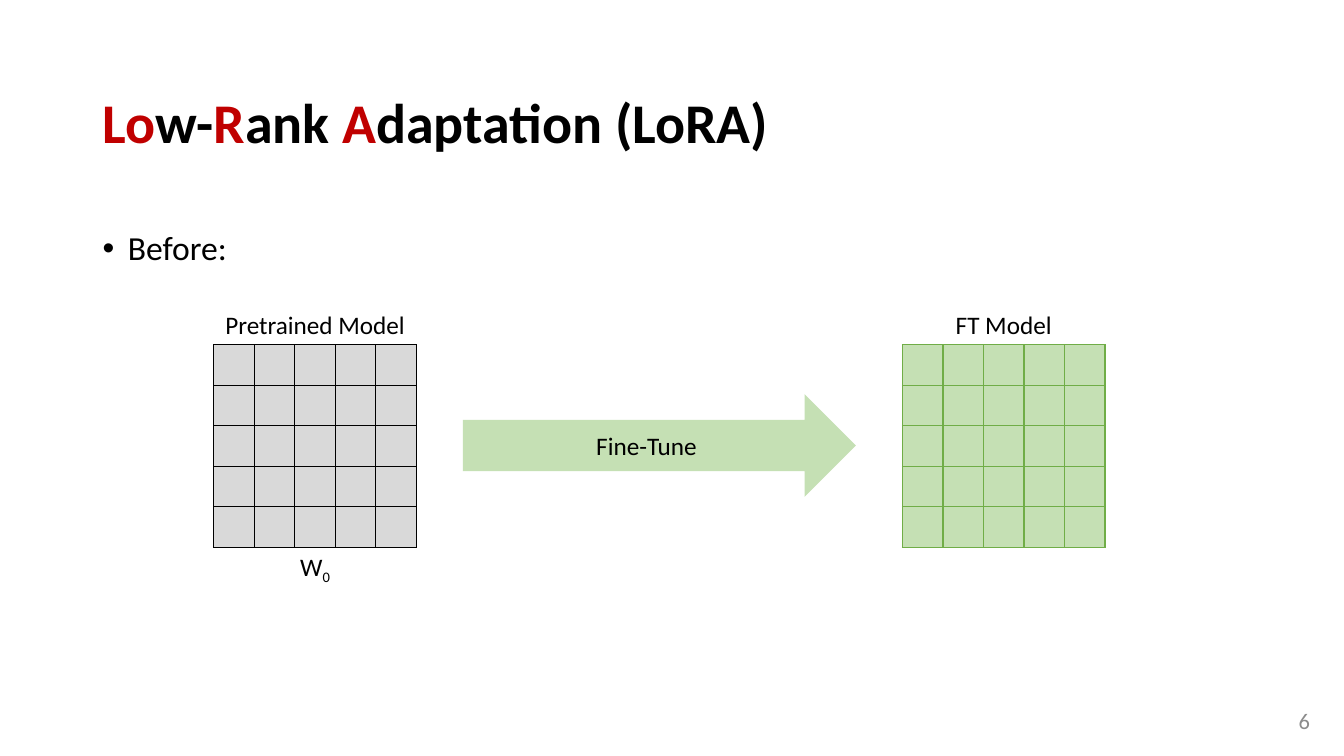
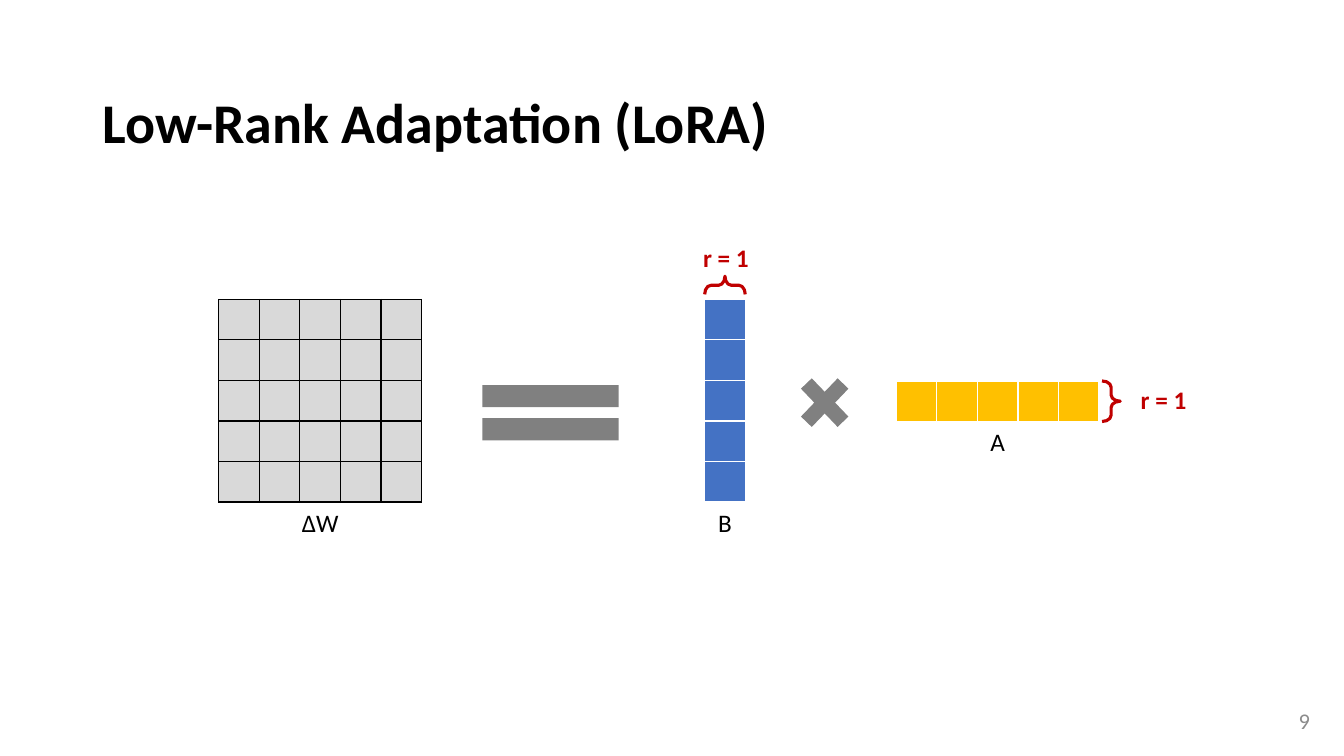
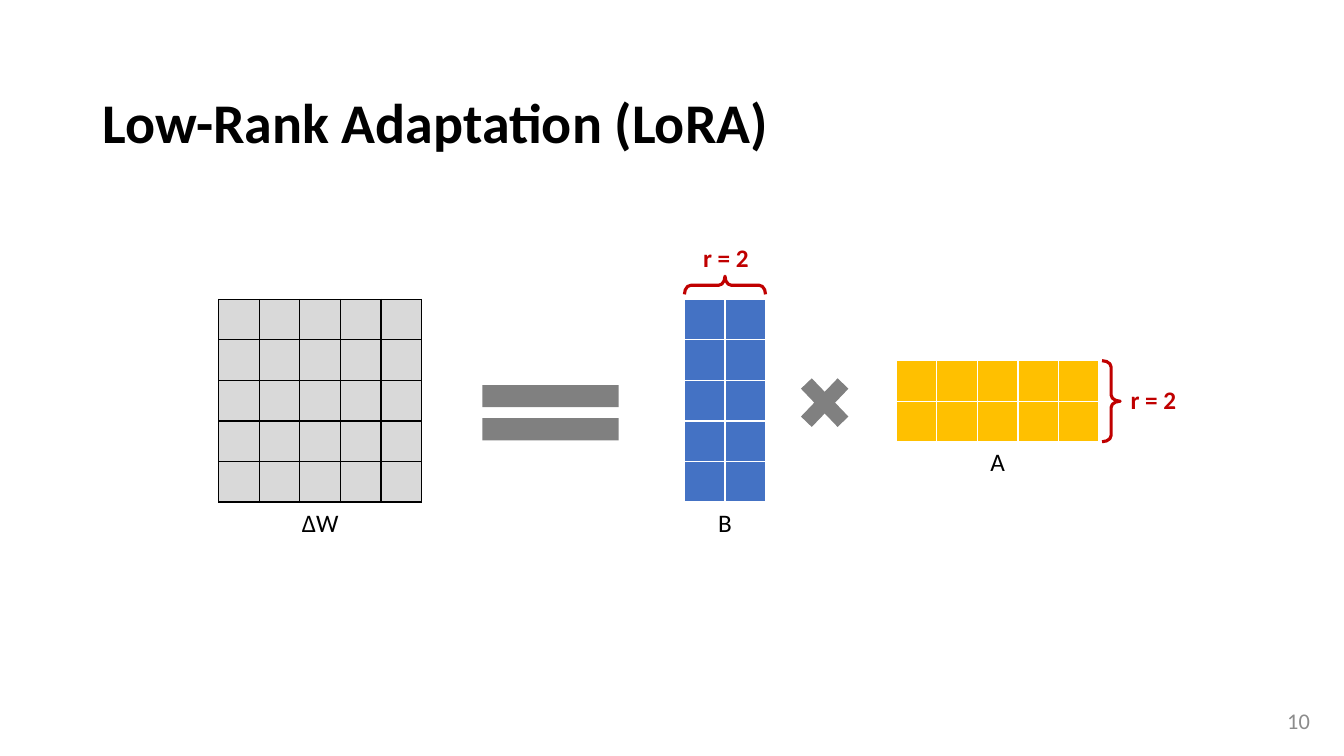
"""Three slides on low-rank adaptation, drawn from small grids and symbols."""
from dataclasses import dataclass

from lxml.etree import SubElement as Sub
from pptx import Presentation
from pptx.dml.color import RGBColor as Rgb
from pptx.enum.shapes import MSO_SHAPE as Kind
from pptx.enum.text import MSO_ANCHOR as Anchor, PP_ALIGN as Align
from pptx.oxml.ns import qn
from pptx.shapes.autoshape import Shape
from pptx.slide import Slide
from pptx.util import Inches, Pt

HUES = {
    "ink": "000000", "red": "C00000", "page": "8C8C8C", "sign": "808080",
    "gray": "D9D9D9", "mint": "C5E0B4", "leaf": "70AD47",
    "blue": "4472C4", "gold": "FFC000", "white": "FFFFFF",
}
FONT = "Calibri"
SPAN = 2.01
SIZE = 5
UNIT = SPAN / SIZE
LINE = 0.4
MID_X = 7.19
MID_Y = 3.98


@dataclass
class Run:
    text: str
    hue: str = "ink"
    size: int = 18
    bold: bool = False
    base: int = 0


@dataclass
class Box:
    left: float
    top: float
    width: float
    height: float = LINE

    def place(self) -> list[int]:
        return [Inches(v) for v in (self.left, self.top, self.width, self.height)]


@dataclass
class Grid:
    left: float
    top: float
    rows: int
    cols: int
    fill: str
    edge: str


@dataclass
class Rank:
    page: int
    rank: int
    side: float


def color(name: str) -> Rgb:
    return Rgb.from_string(HUES[name])


def write(shape: Shape, runs: list[Run], align: Align = Align.CENTER,
          anchor: Anchor = Anchor.TOP):
    frame = shape.text_frame
    frame.word_wrap = True
    frame.vertical_anchor = anchor
    para = frame.paragraphs[0]
    para.alignment = align
    for item in runs:
        run = para.add_run()
        run.text = item.text
        font = run.font
        font.name, font.size, font.bold = FONT, Pt(item.size), item.bold
        font.color.rgb = color(item.hue)
        if item.base:
            run._r.get_or_add_rPr().set("baseline", str(item.base * 1000))
    return para


def label(slide: Slide, box: Box, *runs: Run, align: Align = Align.CENTER,
          anchor: Anchor = Anchor.TOP):
    return write(slide.shapes.add_textbox(*box.place()), list(runs), align, anchor)


def solid(slide: Slide, kind: Kind, box: Box, hue: str) -> Shape:
    shape = slide.shapes.add_shape(kind, *box.place())
    shape.shadow.inherit = False
    shape.fill.solid()
    shape.fill.fore_color.rgb = color(hue)
    shape.line.fill.background()
    return shape


def brace(slide: Slide, x: float, y: float, rank: int, turn: int) -> None:
    wide, tall = 0.18, rank * UNIT
    box = Box(x - wide / 2, y - tall / 2, wide, tall)
    shape = slide.shapes.add_shape(Kind.LEFT_BRACE, *box.place())
    shape.shadow.inherit = False
    shape.rotation = turn
    shape.adjustments[0] = 0.345
    shape.fill.background()
    shape.line.color.rgb = color("red")
    shape.line.width = Pt(2.25)


def draw(slide: Slide, grid: Grid) -> None:
    box = Box(grid.left, grid.top, grid.cols * UNIT, grid.rows * UNIT)
    table = slide.shapes.add_table(grid.rows, grid.cols, *box.place()).table
    table.first_row = table.horz_banding = False
    for part in (*table.rows, *table.columns):
        if hasattr(part, "height"):
            part.height = Inches(UNIT)
        else:
            part.width = Inches(UNIT)
    for cell in table.iter_cells():
        cell.margin_top = cell.margin_bottom = 0
        props = cell._tc.get_or_add_tcPr()
        for side in ("a:lnL", "a:lnR", "a:lnT", "a:lnB"):
            edge = Sub(props, qn(side), w=str(Pt(1)))
            paint = Sub(edge, qn("a:solidFill"))
            Sub(paint, qn("a:srgbClr"), val=HUES[grid.edge])
        cell.fill.solid()
        cell.fill.fore_color.rgb = color(grid.fill)


def start(deck: Presentation, page: int, parts: list[tuple[str, str]]) -> Slide:
    slide = deck.slides.add_slide(deck.slide_layouts[6])
    runs = [Run(text, hue, 40, True) for text, hue in parts]
    title = label(slide, Box(0.92, 0.4, 11.5, 1.19), *runs,
                  align=Align.LEFT, anchor=Anchor.BOTTOM)
    title.line_spacing = 0.9
    label(slide, Box(9.42, 6.95, 3.67), Run(str(page), "page", 16),
          align=Align.RIGHT, anchor=Anchor.MIDDLE)
    return slide


def tune(deck: Presentation) -> None:
    slide = start(deck, 6, [("Lo", "red"), ("w-", "ink"), ("R", "red"),
                            ("ank ", "ink"), ("A", "red"),
                            ("daptation (LoRA)", "ink")])
    para = label(slide, Box(0.92, 2.25, 11.5, 4.51), Run("Before:", size=24),
                 align=Align.LEFT)
    para.line_spacing, para.space_before = 0.9, Pt(10)
    props = para._p.get_or_add_pPr()
    props.set("marL", str(Inches(0.25)))
    props.set("indent", str(Inches(-0.25)))
    Sub(props, qn("a:buFont"), typeface="Arial")
    Sub(props, qn("a:buChar"), char="•")

    top = 3.42
    for left, name, fill, edge in ((2.12, "Pretrained Model", "gray", "ink"),
                                   (8.95, "FT Model", "mint", "leaf")):
        draw(slide, Grid(left, top, SIZE, SIZE, fill, edge))
        label(slide, Box(left, top - LINE, SPAN), Run(name))
    label(slide, Box(2.12, 5.42, SPAN), Run("W"), Run("0", base=-25))
    arrow = solid(slide, Kind.RIGHT_ARROW, Box(4.59, 3.91, 3.9, 1.02), "mint")
    write(arrow, [Run("Fine-Tune")], anchor=Anchor.MIDDLE)


def split(deck: Presentation, item: Rank) -> None:
    slide = start(deck, item.page, [("Low-Rank Adaptation (LoRA)", "ink")])
    rank, half = item.rank, item.rank * UNIT / 2
    top, left = 2.97, 8.89
    draw(slide, Grid(2.17, top, SIZE, SIZE, "gray", "ink"))
    draw(slide, Grid(MID_X - half, top, SIZE, rank, "blue", "white"))
    draw(slide, Grid(left, MID_Y - half, rank, SIZE, "gold", "white"))
    solid(slide, Kind.MATH_EQUAL, Box(4.54, 3.63, 1.84, 0.93), "sign")
    times = solid(slide, Kind.MATH_MULTIPLY, Box(7.83, 3.63, 0.7, 0.73), "sign")
    times.adjustments[0] = 0.212
    label(slide, Box(2.17, top + SPAN, SPAN), Run("ΔW"))
    label(slide, Box(MID_X - 0.2, top + SPAN, 0.4), Run("B"))
    label(slide, Box(left, MID_Y + half, SPAN), Run("A"))
    brace(slide, MID_X, 2.83, rank, 90)
    brace(slide, 11.02, MID_Y, rank, 180)
    for x, y in ((6.78, 2.36), (item.side, 3.76)):
        label(slide, Box(x, y, 0.84), Run(f"r = {rank}", "red", bold=True))


def main() -> None:
    deck = Presentation()
    deck.slide_width, deck.slide_height = Inches(13.33), Inches(7.5)
    tune(deck)
    for item in (Rank(9, 1, 11.12), Rank(10, 2, 11.02)):
        split(deck, item)
    deck.save("out.pptx")


if __name__ == "__main__":
    main()
